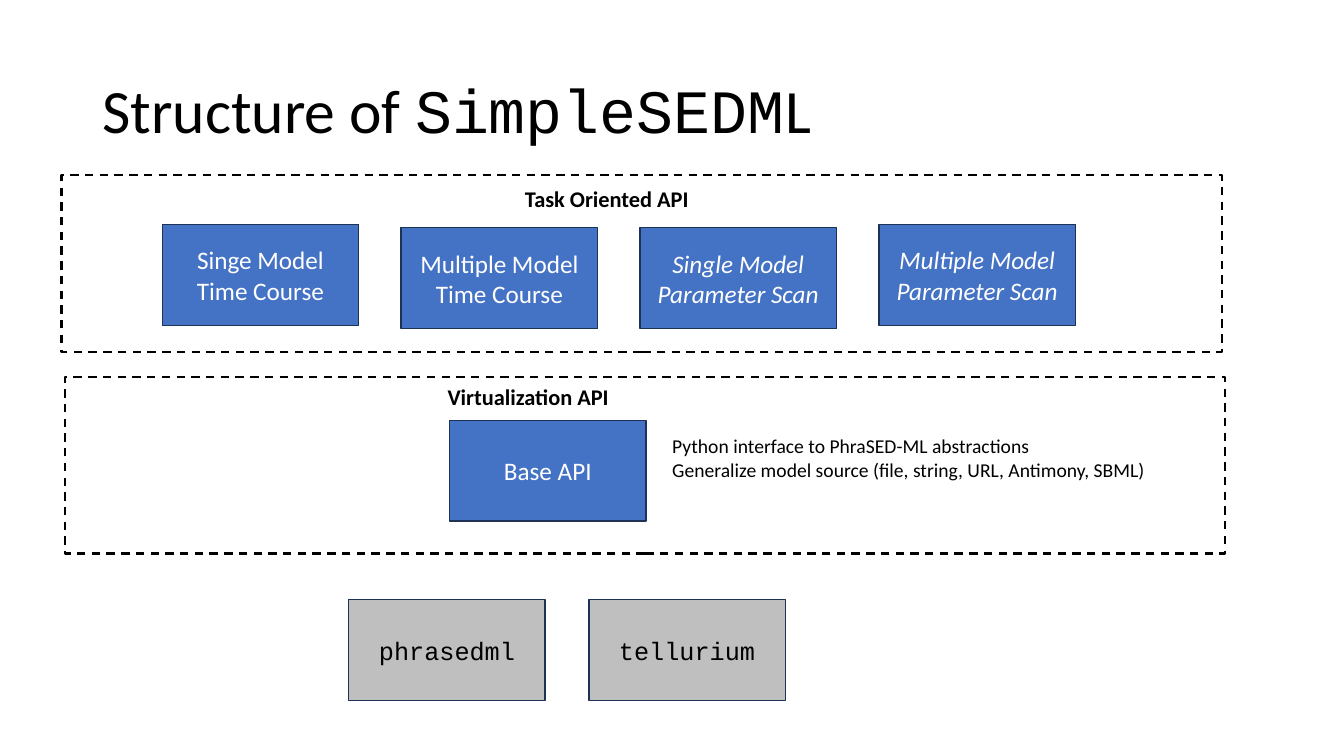
import pptx
import pptx.util
import pptx.dml.color
import pptx.enum.dml
import pptx.enum.shapes
import pptx.enum.text

Cm = pptx.util.Cm
Pt = pptx.util.Pt
Align = pptx.enum.text.PP_ALIGN
Anchor = pptx.enum.text.MSO_ANCHOR
Fit = pptx.enum.text.MSO_AUTO_SIZE
Rect = pptx.enum.shapes.MSO_SHAPE.RECTANGLE


def color(code):
    return pptx.dml.color.RGBColor.from_string(code)


class Theme:
    black = color("000000")
    white = color("FFFFFF")
    blue = color("4472C4")
    gray = color("BFBFBF")
    navy = color("1E3256")
    sans = "Calibri"
    mono = "Courier New"
    title = {"size": Pt(44), "name": sans}
    head = {"size": Pt(16), "name": sans, "bold": True}
    note = {"size": Pt(14), "name": sans}
    task = {"size": Pt(18), "name": sans}
    scan = {**task, "italic": True}
    code = {**task, "name": mono}


BOX = (4.95, 2.54)
STEP = 6.02


def apply(item, values):
    for key, value in values.items():
        setattr(item, key, value)


def write(para, text, style, ink=Theme.black):
    run = para.add_run()
    run.text = text
    apply(run.font, style)
    run.font.color.rgb = ink


def block(shapes, left, top, size, edge, width, fill=None):
    shape = shapes.add_shape(Rect, Cm(left), Cm(top), *map(Cm, size))
    shape.shadow.inherit = False
    if fill is None:
        shape.fill.background()
    else:
        shape.fill.solid()
        shape.fill.fore_color.rgb = fill
    apply(shape.line, {"width": Pt(width)})
    shape.line.color.rgb = edge
    return shape


def card(shapes, left, top, text, style, fill=Theme.blue, ink=Theme.white):
    shape = block(shapes, left, top, BOX, Theme.navy, 1, fill)
    frame = shape.text_frame
    apply(frame, {"word_wrap": True, "vertical_anchor": Anchor.MIDDLE})
    para = frame.paragraphs[0]
    para.alignment = Align.CENTER
    write(para, text, style, ink)


def label(shapes, left, top, size, lines, style):
    frame = shapes.add_textbox(Cm(left), Cm(top), *map(Cm, size)).text_frame
    apply(frame, {"word_wrap": False, "auto_size": Fit.SHAPE_TO_FIT_TEXT})
    for index, line in enumerate(lines):
        para = frame.add_paragraph() if index else frame.paragraphs[0]
        write(para, line, style)


def panel(slide, left, top, size, text, shift, wide):
    group = slide.shapes.add_group_shape().shapes
    frame = block(group, left, top, size, Theme.black, 1.5)
    frame.line.dash_style = pptx.enum.dml.MSO_LINE.DASH
    label(group, left + shift[0], top + shift[1], (wide, 0.94), [text], Theme.head)


def header(slide, left, top, size):
    title = slide.shapes.title
    apply(title, {"left": Cm(left), "top": Cm(top),
                  "width": Cm(size[0]), "height": Cm(size[1])})
    frame = title.text_frame
    apply(frame, {"word_wrap": True, "auto_size": Fit.NONE,
                  "vertical_anchor": Anchor.MIDDLE})
    para = frame.paragraphs[0]
    apply(para, {"alignment": Align.LEFT, "line_spacing": 0.9})
    for text, face in (("Structure of ", Theme.sans),
                       ("SimpleSEDM", Theme.mono), ("L", Theme.sans)):
        write(para, text, {**Theme.title, "name": face})


def tasks(slide, left, top, size):
    panel(slide, left, top, size, "Task Oriented API", (11.43, 0.13), 4.7)
    cards = (("Singe Model Time Course", Theme.task, 1.24),
             ("Multiple Model Time Course", Theme.task, 1.32),
             ("Single Model Parameter Scan", Theme.scan, 1.32),
             ("Multiple Model Parameter Scan", Theme.scan, 1.24))
    for index, (text, style, drop) in enumerate(cards):
        card(slide.shapes, left + 2.54 + index * STEP, top + drop, text, style)


def base(slide, left, top, size):
    panel(slide, left, top, size, "Virtualization API", (9.4, 0.03), 4.62)
    card(slide.shapes, left + 9.7, top + 1.09, "Base API", Theme.task)
    label(slide.shapes, left + 15.06, top + 1.32, (12.62, 1.45),
          ["Python interface to PhraSED-ML abstractions",
           "Generalize model source (file, string, URL, Antimony, SBML)"],
          Theme.note)


def tools(slide, left, top):
    for index, name in enumerate(("phrasedml", "tellurium")):
        card(slide.shapes, left + index * (STEP + 0.03), top, name,
             Theme.code, Theme.gray, Theme.black)


def main():
    deck = pptx.Presentation()
    apply(deck, {"slide_width": Cm(33.87), "slide_height": Cm(19.05)})
    slide = deck.slides.add_slide(deck.slide_layouts[5])
    area = (29.24, 4.45)
    header(slide, 2.33, 1.01, (29.21, 3.68))
    tasks(slide, 1.55, 4.42, area)
    base(slide, 1.63, 9.5, area)
    tools(slide, 8.79, 15.11)
    deck.save("out.pptx")


if __name__ == "__main__":
    main()
